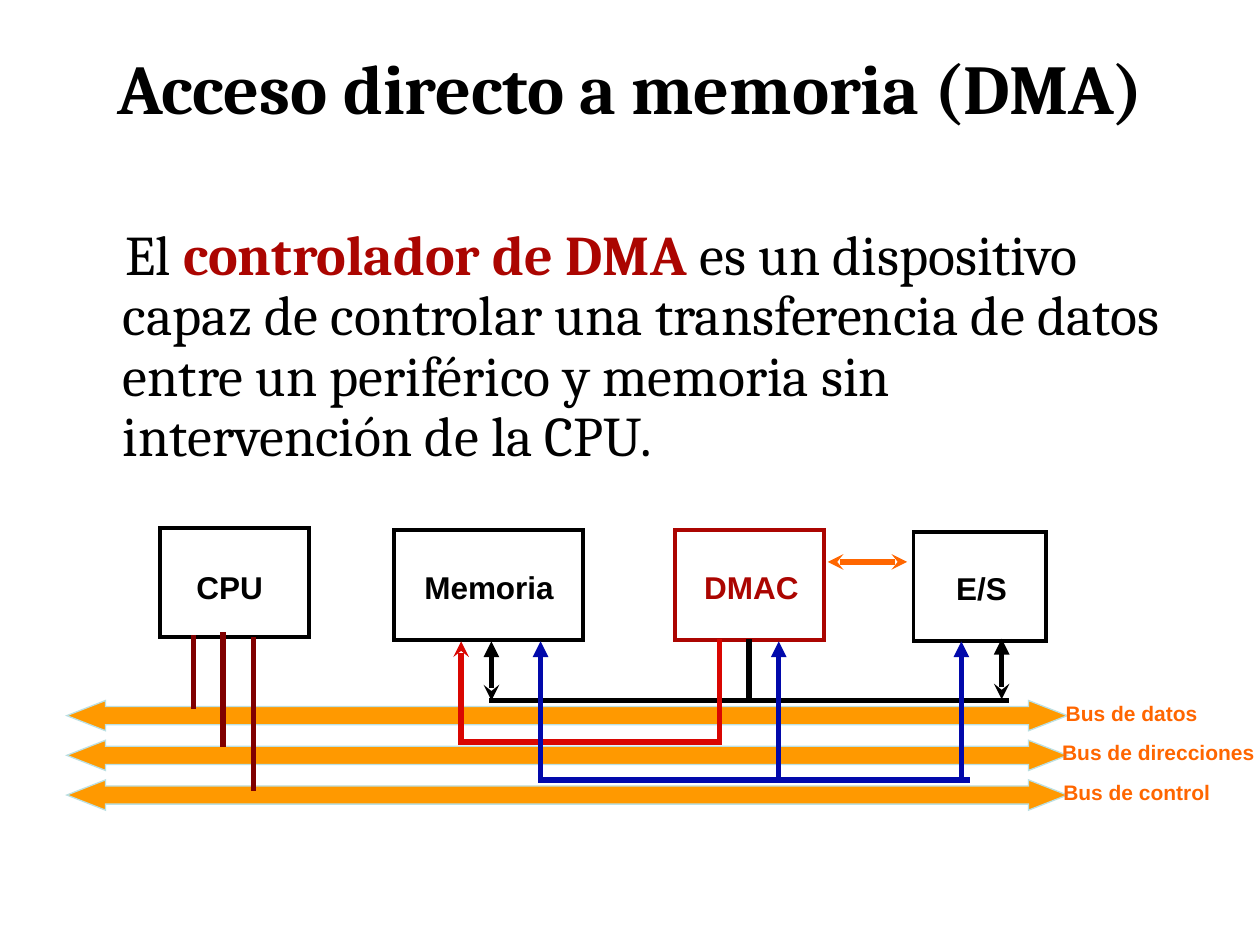
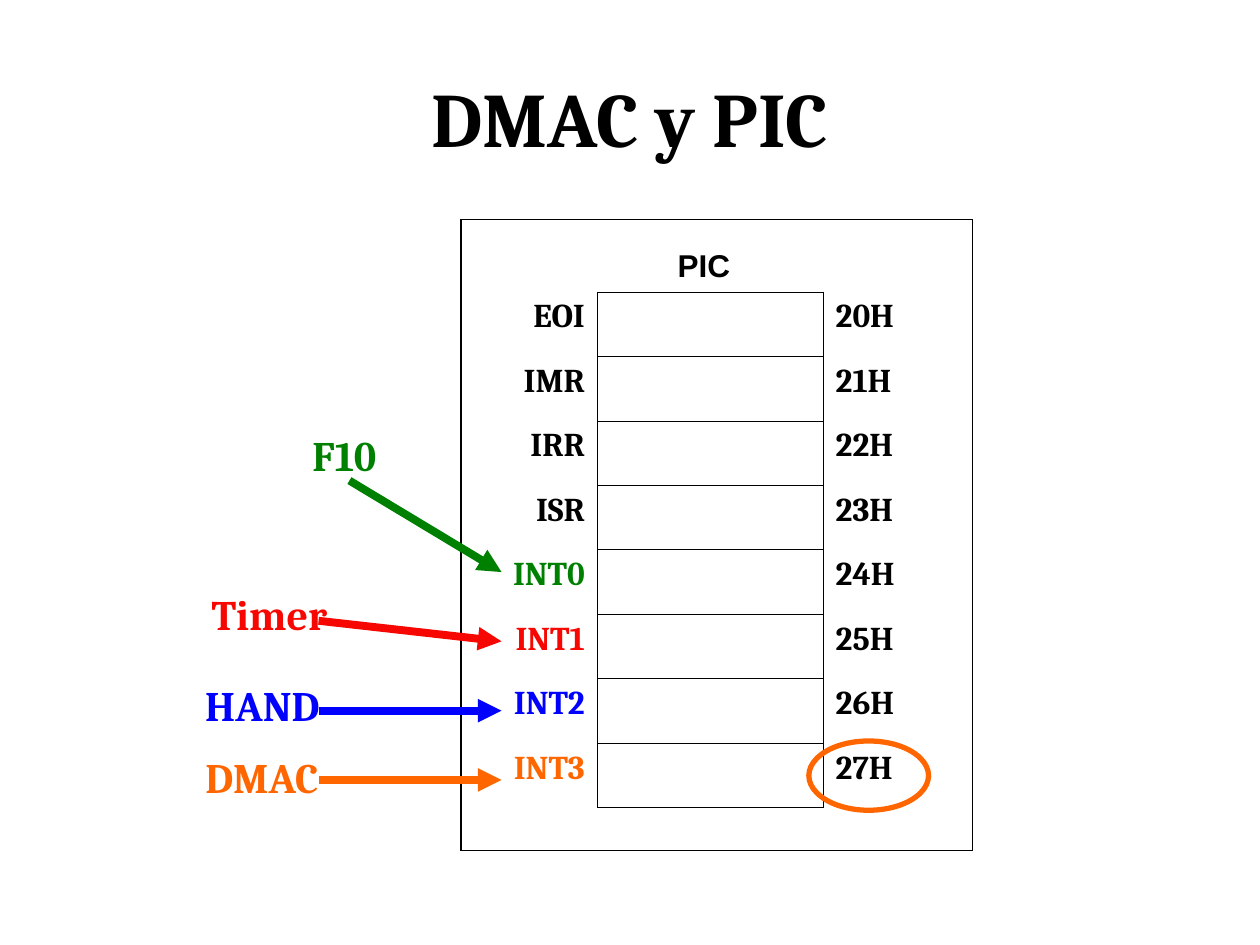
from lxml import etree
from pptx import Presentation
from pptx.dml.color import RGBColor
from pptx.enum import shapes, text
from pptx.oxml import ns
from pptx.util import Pt

COLORS = {
    "black": "000000", "crimson": "AB0501", "red": "D90601", "navy": "0109AB",
    "maroon": "800000", "orange": "FF6600", "amber": "FF9900", "pale": "BBE0E3",
    "green": "008000", "scarlet": "F70701", "blue": "0000FF",
}
SERIF, SANS = "Cambria", "Arial"
NO_STYLE = "{2D5ABB26-0587-4C30-8999-92F81FD0307C}"
TITLE_BOX = (36, 21.6, 648, 90)
LABEL_SLACK = 4

DMA_TITLE = "Acceso directo a memoria (DMA)"
DMA_BODY = [
    ("El ", {}),
    ("controlador de DMA", {"color": "crimson", "bold": True}),
    (" es un dispositivo capaz de controlar una transferencia de datos entre "
     "un periférico y memoria sin intervención de la CPU.", {}),
]
UNITS = [
    ("CPU", "black", (91.4, 301.7, 85, 62.6), (105.1, 321.1, 52.6)),
    ("Memoria", "black", (225.4, 303.1, 108, 62.6), (235.4, 321.1, 88.6)),
    ("DMAC", "crimson", (385.9, 303.1, 85, 62.6), (395.3, 321.1, 68.4)),
    ("E/S", "black", (522, 303.8, 75.6, 62.6), (539.3, 321.8, 43.2)),
]
BUS_TOP, BUS_STEP = 400.3, 22.7
BUSES = [
    ("Bus de datos", 601.9, 89.3),
    ("Bus de direcciones", 599.8, 124.6),
    ("Bus de control", 600.5, 97.9),
]
WIRES = [
    ("maroon", (110.5, 364.3), (110.5, 403.9), None, None),
    ("maroon", (127.4, 362.9), (127.4, 425.5), None, None),
    ("maroon", (144.7, 365.8), (144.7, 450.7), None, None),
    ("black", (280.8, 400.3), (575.3, 400.3), None, None),
    ("black", (280.8, 400.3), (280.8, 366.5), "stealth", "triangle"),
    ("black", (572.4, 399.6), (572.4, 365), "stealth", "triangle"),
    ("black", (428, 366.5), (428, 400.3), None, None),
    ("red", (411.1, 366.5), (411.1, 423.7), None, None),
    ("red", (263.5, 366.5), (263.5, 423.7), "stealth", None),
    ("red", (263.5, 424), (411.1, 424), None, None),
    ("navy", (308.9, 445.7), (553, 445.7), None, None),
    ("navy", (308.9, 445.7), (308.9, 366.5), None, "triangle"),
    ("navy", (549.4, 445.7), (549.4, 366.5), None, "triangle"),
    ("navy", (445, 445.7), (445, 366.5), None, "triangle"),
    ("orange", (473, 321.1), (518.4, 321.1), "stealth", "stealth"),
]

PIC_TITLE = "DMAC y PIC"
REGISTERS = [
    ("EOI", "20H", "black"), ("IMR", "21H", "black"),
    ("IRR", "22H", "black"), ("ISR", "23H", "black"),
    ("INT0", "24H", "green"), ("INT1", "25H", "scarlet"),
    ("INT2", "26H", "blue"), ("INT3", "27H", "orange"),
]
COLUMN_WIDTHS = (66.4, 129, 57.3)
ROW_HEIGHT = 36.85
REGISTER_EDGES = ("R", "LRTB", "L")
SOURCES = [
    ("F10", "green", (171.4, 241.9, 51.1), (201.6, 275.8), 326.9),
    ("Timer", "scarlet", (113.8, 332.6, 80.6), (184.3, 355), 366.5),
    ("HAND", "blue", (110.2, 384.5, 79.9), (184.3, 406.1), 406.1),
    ("DMAC", "orange", (110.2, 426.2, 79.2), (184.3, 445.7), 445.7),
]
SOURCE_TIP_X = 286.6


def rgb(name):
    return RGBColor.from_string(COLORS[name])


def pts(values):
    return [Pt(v) for v in values]


def write(tf, content, size=18, font=SANS, color="black", bold=False,
          align=text.PP_ALIGN.LEFT, spacing=1.0):
    p = tf.paragraphs[0]
    p.alignment, p.line_spacing, p.space_before = align, spacing, Pt(0)
    runs = [(content, {})] if isinstance(content, str) else content
    for words, own in runs:
        r = p.add_run()
        r.text = words
        r.font.size, r.font.name = Pt(size), font
        r.font.bold = own.get("bold", bold)
        r.font.color.rgb = rgb(own.get("color", color))
    return p


def place(sp, box, anchor):
    sp.left, sp.top, sp.width, sp.height = pts(box)
    tf = sp.text_frame
    tf.auto_size = text.MSO_AUTO_SIZE.NONE
    tf.vertical_anchor = anchor
    return tf


def add_slide(prs, layout, title, size, anchor):
    s = prs.slides.add_slide(prs.slide_layouts[layout])
    write(place(s.shapes.title, TITLE_BOX, anchor), title, size=size,
          font=SERIF, bold=True, align=text.PP_ALIGN.CENTER)
    return s


def add_label(s, words, left, top, width, height=28.8, **fmt):
    box = (left, top, width + LABEL_SLACK, height)
    tf = s.shapes.add_textbox(*pts(box)).text_frame
    tf.word_wrap = True
    tf.auto_size = text.MSO_AUTO_SIZE.NONE
    tf.margin_right = 0
    write(tf, words, bold=True, **fmt)


def add_outline(s, kind, box, color, width, fill=None):
    sp = s.shapes.add_shape(kind, *pts(box))
    sp.shadow.inherit = False
    if fill:
        sp.fill.solid()
        sp.fill.fore_color.rgb = rgb(fill)
    else:
        sp.fill.background()
    sp.line.color.rgb, sp.line.width = rgb(color), Pt(width)
    etree.SubElement(sp.line._get_or_add_ln(), ns.qn("a:miter"), lim="800000")
    return sp


def add_wire(s, color, start, end, head=None, tail=None, width=3):
    c = s.shapes.add_connector(shapes.MSO_CONNECTOR.STRAIGHT, *pts(start + end))
    c.line.color.rgb, c.line.width = rgb(color), Pt(width)
    ln = c.line._get_or_add_ln()
    ln.set("cap", "sq")
    for tag, kind in (("a:headEnd", head), ("a:tailEnd", tail)):
        if kind:
            etree.SubElement(ln, ns.qn(tag), type=kind)
    etree.SubElement(c._element.spPr, ns.qn("a:effectLst"))


def add_borders(cell, edges):
    tcPr = cell._tc.get_or_add_tcPr()
    for edge in edges:
        ln = etree.SubElement(tcPr, ns.qn("a:ln" + edge), w=str(Pt(0.23)))
        fill = etree.SubElement(ln, ns.qn("a:solidFill"))
        etree.SubElement(fill, ns.qn("a:srgbClr"), val=COLORS["black"])


def build_dma(prs):
    s = add_slide(prs, 1, DMA_TITLE, 40, text.MSO_ANCHOR.TOP)
    tf = place(s.placeholders[1], (36, 126, 648, 149.8), text.MSO_ANCHOR.TOP)
    pPr = write(tf, DMA_BODY, size=32, font=SERIF, spacing=0.9)._p.get_or_add_pPr()
    pPr.set("marL", str(Pt(27)))
    pPr.set("indent", str(Pt(1.5)))
    etree.SubElement(pPr, ns.qn("a:buNone"))

    for name, color, box, label in UNITS:
        add_label(s, name, *label, color=color)
        add_outline(s, shapes.MSO_SHAPE.RECTANGLE, box, color, 2.25)
    for i, (name, left, width) in enumerate(BUSES):
        top = BUS_TOP + i * BUS_STEP
        bus = add_outline(s, shapes.MSO_SHAPE.LEFT_RIGHT_ARROW,
                          (38.2, top, 571.7, 17.3), "pale", 0.75, "amber")
        bus.adjustments[0], bus.adjustments[1] = 0.6, 1.28
        add_label(s, name, left, top - 3.7, width, 21.6, size=12, color="orange")
    for wire in WIRES:
        add_wire(s, *wire)


def build_pic(prs):
    s = add_slide(prs, 5, PIC_TITLE, 44, text.MSO_ANCHOR.MIDDLE)
    box = (275, 166.8, sum(COLUMN_WIDTHS), ROW_HEIGHT * len(REGISTERS))
    table = s.shapes.add_table(len(REGISTERS), 3, *pts(box)).table
    table.first_row = table.horz_banding = False
    table._tbl.tblPr.find(ns.qn("a:tableStyleId")).text = NO_STYLE
    for column, width in zip(table.columns, COLUMN_WIDTHS):
        column.width = Pt(width)
    for row, (name, address, color) in zip(table.rows, REGISTERS):
        row.height = Pt(ROW_HEIGHT)
        for cell, edges in zip(row.cells, REGISTER_EDGES):
            add_borders(cell, edges)
            cell.fill.background()
        fmt = {"size": 19, "font": SERIF, "bold": True, "spacing": 0.99}
        write(row.cells[0].text_frame, name, color=color,
              align=text.PP_ALIGN.RIGHT, **fmt)
        write(row.cells[2].text_frame, address, **fmt)

    add_outline(s, shapes.MSO_SHAPE.RECTANGLE, (263.5, 125.3, 292.3, 360.7),
                "black", 0.75)
    add_label(s, "PIC", 380.2, 136.8, 43.9)
    for name, color, label, start, tip_y in SOURCES:
        add_wire(s, color, start, (SOURCE_TIP_X, tip_y), tail="triangle", width=4.5)
        add_label(s, name, *label, height=36, size=24, font=SERIF, color=color)
    add_outline(s, shapes.MSO_SHAPE.OVAL, (462.2, 423.4, 68.4, 39.6), "orange", 3)


def main():
    prs = Presentation()
    prs.slide_width, prs.slide_height = Pt(720), Pt(540)
    build_dma(prs)
    build_pic(prs)
    prs.save("out.pptx")


if __name__ == "__main__":
    main()
